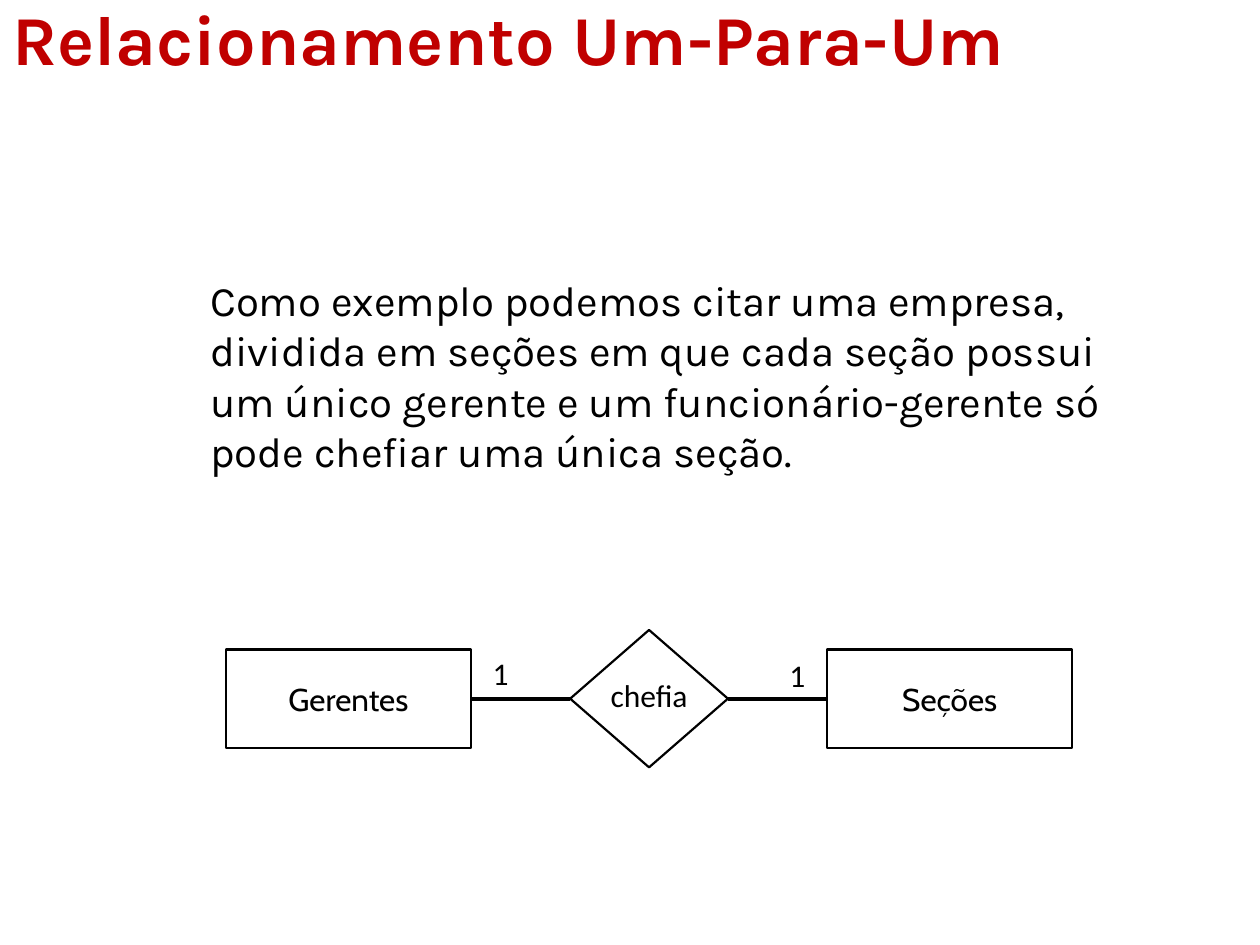
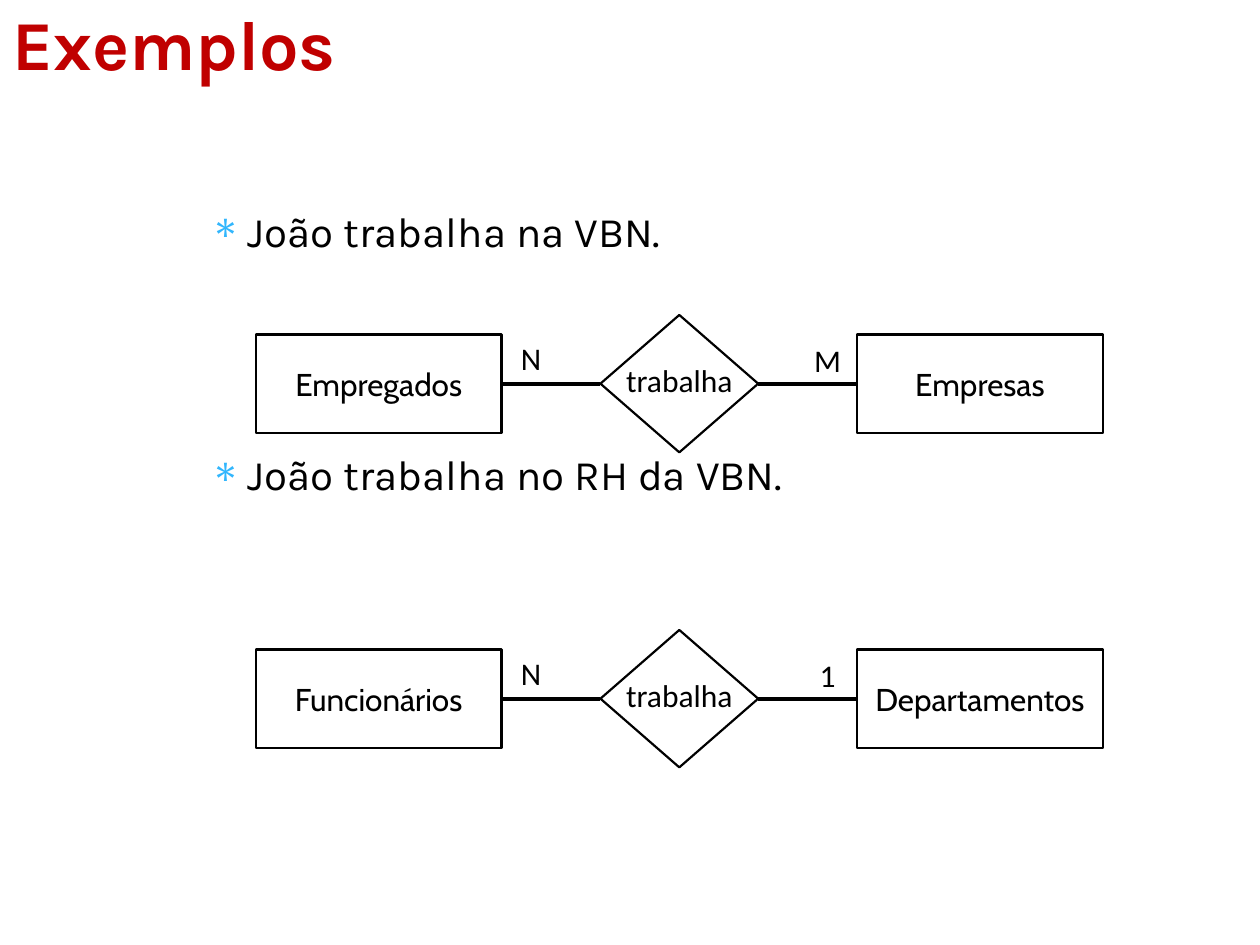
from dataclasses import dataclass
from typing import NamedTuple

from lxml.etree import SubElement
from pptx import Presentation
from pptx.dml.color import RGBColor
from pptx.enum.shapes import MSO_CONNECTOR as Connector, MSO_SHAPE as Preset
from pptx.enum.text import MSO_ANCHOR as Anchor, PP_ALIGN as Align
from pptx.oxml.ns import qn
from pptx.util import Cm, Pt


@dataclass(frozen=True)
class Theme:
    """Colours, fonts and sizes shared by the slides."""
    ink: RGBColor = RGBColor(0, 0, 0)
    paper: RGBColor = RGBColor(255, 255, 255)
    title_red: RGBColor = RGBColor(0xC0, 0, 0)
    bullet_blue: str = "31B6FD"
    text_font: str = "Karla"
    entity_font: str = "Cabin"
    label_font: str = "Calibri"
    title_size: Pt = Pt(40)
    body_size: Pt = Pt(24)
    label_size: Pt = Pt(18)
    outline: Pt = Pt(1.25)
    link: Pt = Pt(2.25)


THEME = Theme()


class Box(NamedTuple):
    """A region of the slide."""
    left: int
    top: int
    width: int
    height: int


class Relationship(NamedTuple):
    """Two entities, the verb between them and their multiplicities."""
    left_entity: str
    left_count: str
    verb: str
    right_count: str
    right_entity: str


ENTITY_WIDTH, ENTITY_HEIGHT = Cm(4.95), Cm(1.98)
VERB_WIDTH, VERB_TEXT_WIDTH = Cm(3.18), Cm(2.78)
COUNT_WIDTH, LABEL_HEIGHT = Cm(1.19), Cm(1.02)
DIAGRAM_WIDTH, DIAGRAM_HEIGHT = Cm(17.07), Cm(2.77)


def write(paragraph, text, font_name, size, color=THEME.ink, bold=False):
    """Add one styled run to a paragraph."""
    run = paragraph.add_run()
    run.text = text
    run.font.name, run.font.size, run.font.bold = font_name, size, bold
    run.font.color.rgb = color


def add_text_frame(shapes, box):
    """Place a wrapping text area and return its frame."""
    frame = shapes.add_textbox(*box).text_frame
    frame.word_wrap = True
    return frame


def add_title(slide, box, text):
    """Write the red slide title in its box."""
    frame = add_text_frame(slide.shapes, box)
    frame.vertical_anchor = Anchor.MIDDLE
    write(frame.paragraphs[0], text, THEME.text_font, THEME.title_size,
          THEME.title_red, bold=True)


def indent(paragraph, margin, first_line=0):
    """Set the left margin and first-line offset of a paragraph."""
    properties = paragraph._p.get_or_add_pPr()
    properties.set("marL", str(margin))
    properties.set("indent", str(first_line))
    return properties


def add_statement(slide, box, text):
    """Write the indented explanation."""
    paragraph = add_text_frame(slide.shapes, box).paragraphs[0]
    indent(paragraph, Cm(1.02))
    write(paragraph, text, THEME.text_font, THEME.body_size)


def add_examples(slide, box, sentences, gap):
    """Write bulleted sentences separated by the given gap."""
    frame = add_text_frame(slide.shapes, box)
    for index, sentence in enumerate(sentences):
        paragraph = frame.add_paragraph() if index else frame.paragraphs[0]
        properties = indent(paragraph, Cm(0.76), -Cm(0.76))
        bullet_color = SubElement(properties, qn("a:buClr"))
        SubElement(bullet_color, qn("a:srgbClr"), val=THEME.bullet_blue)
        SubElement(properties, qn("a:buChar"), char="∗")
        if index:
            paragraph.space_before = gap
        write(paragraph, sentence, THEME.text_font, THEME.body_size)


def add_outline(shapes, preset, box):
    """Draw a black outlined preset shape without a shadow."""
    outline = shapes.add_shape(preset, *box)
    outline.shadow.inherit = False
    outline.fill.background()
    outline.line.color.rgb, outline.line.width = THEME.ink, THEME.outline
    return outline


def add_entity(shapes, left, middle, text):
    """Draw a named entity centred on the given height."""
    entity = add_outline(shapes, Preset.RECTANGLE, Box(
        left, middle - ENTITY_HEIGHT // 2, ENTITY_WIDTH, ENTITY_HEIGHT))
    entity.fill.solid()
    entity.fill.fore_color.rgb = THEME.paper
    entity.text_frame.vertical_anchor = Anchor.MIDDLE
    paragraph = entity.text_frame.paragraphs[0]
    paragraph.alignment = Align.CENTER
    write(paragraph, text, THEME.entity_font, THEME.label_size)
    return entity


def add_label(shapes, left, top, width, text):
    """Write a centred diagram label."""
    frame = add_text_frame(shapes, Box(left, top, width, LABEL_HEIGHT))
    paragraph = frame.paragraphs[0]
    paragraph.alignment = Align.CENTER
    write(paragraph, text, THEME.label_font, THEME.label_size)


def add_link(shapes, start, end):
    """Join the right side of one shape to the left side of the next."""
    link = shapes.add_connector(Connector.STRAIGHT, 0, 0, 0, 0)
    link.begin_connect(start, 3)
    link.end_connect(end, 1)
    link.line.color.rgb, link.line.width = THEME.ink, THEME.link
    SubElement(link._element.spPr, qn("a:effectLst"))


def add_relationship(slide, left, top, relationship):
    """Draw an entity-relationship diagram from its top left corner."""
    shapes = slide.shapes.add_group_shape().shapes
    middle = top + DIAGRAM_HEIGHT // 2
    center = left + DIAGRAM_WIDTH // 2
    right_edge = left + DIAGRAM_WIDTH - ENTITY_WIDTH
    left_entity = add_entity(shapes, left, middle, relationship.left_entity)
    right_entity = add_entity(shapes, right_edge, middle, relationship.right_entity)
    verb = add_outline(shapes, Preset.DIAMOND, Box(
        center - VERB_WIDTH // 2, top, VERB_WIDTH, DIAGRAM_HEIGHT))
    add_label(shapes, center - VERB_TEXT_WIDTH // 2, top + Cm(0.8),
              VERB_TEXT_WIDTH, relationship.verb)
    add_link(shapes, left_entity, verb)
    add_link(shapes, verb, right_entity)
    add_label(shapes, left + ENTITY_WIDTH, top + Cm(0.36), COUNT_WIDTH,
              relationship.left_count)
    add_label(shapes, right_edge - COUNT_WIDTH, top + Cm(0.41), COUNT_WIDTH,
              relationship.right_count)


def build_one_to_one(slide):
    """Explain the one-to-one relationship."""
    add_statement(
        slide, Box(Cm(2.97), Cm(5.41), Cm(20.83), Cm(4.9)),
        "Como exemplo podemos citar uma empresa, dividida em seções em que cada "
        "seção possui um único gerente e um funcionário-gerente só pode chefiar "
        "uma única seção.")
    add_title(slide, Box(0, 0, Cm(20.83), Cm(1.52)), "Relacionamento Um-Para-Um")
    add_relationship(slide, Cm(4.55), Cm(12.7),
                     Relationship("Gerentes", "1", "chefia", "1", "Seções"))


def build_examples(slide):
    """Show two example sentences with their diagrams."""
    add_examples(slide, Box(Cm(3.99), Cm(4.01), Cm(20.83), Cm(12.04)),
                 ("João trabalha na VBN.", "João trabalha no RH da VBN."), Pt(110.5))
    add_title(slide, Box(0, 0, Cm(22.86), Cm(1.73)), "Exemplos")
    relationships = (
        Relationship("Empregados", "N", "trabalha", "M", "Empresas"),
        Relationship("Funcionários", "N", "trabalha", "1", "Departamentos"),
    )
    for row, relationship in enumerate(relationships):
        add_relationship(slide, Cm(5.16), Cm(6.35) * (row + 1), relationship)


def main():
    """Build and save the presentation."""
    presentation = Presentation()
    presentation.slide_width, presentation.slide_height = Cm(25.4), Cm(19.05)
    for build in (build_one_to_one, build_examples):
        build(presentation.slides.add_slide(presentation.slide_layouts[6]))
    presentation.save("out.pptx")


if __name__ == "__main__":
    main()
